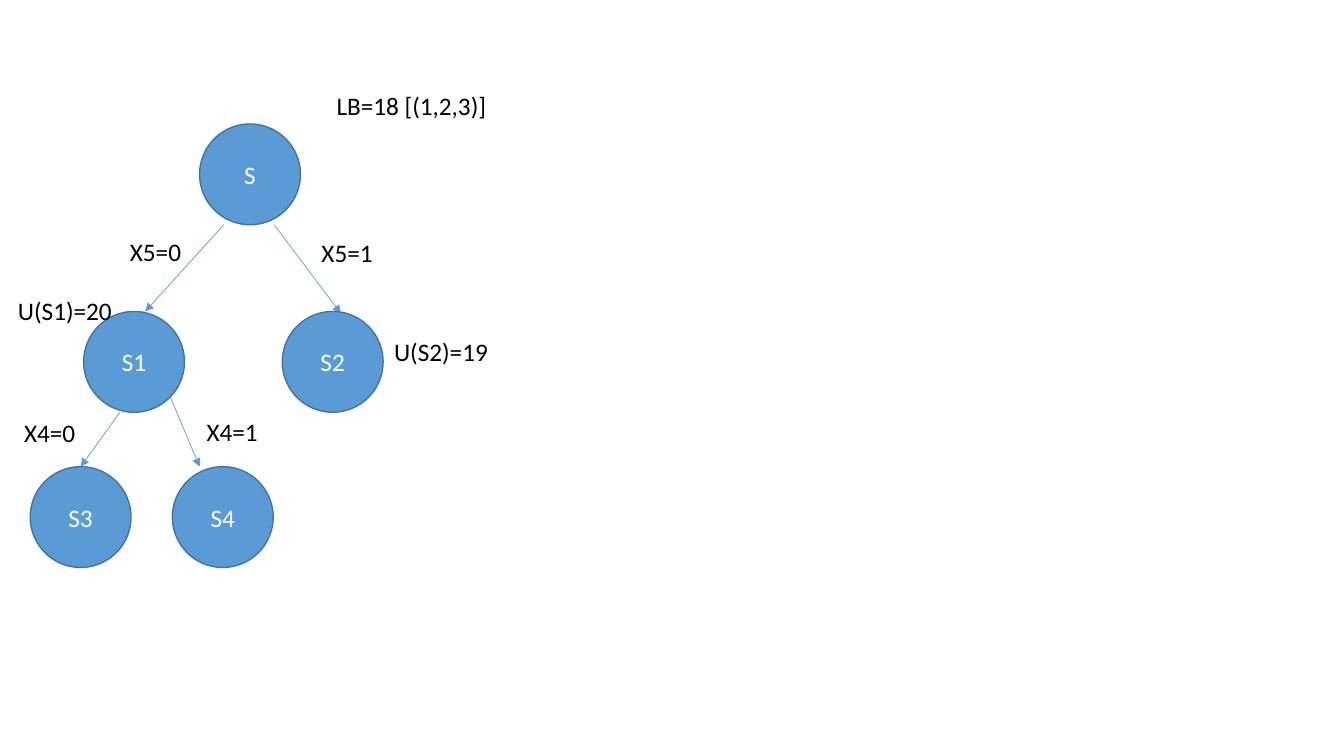
"""Build a slide with a branch-and-bound search tree."""
from dataclasses import dataclass

from lxml import etree
from pptx import Presentation
from pptx.dml.color import RGBColor
from pptx.enum.shapes import MSO_CONNECTOR, MSO_SHAPE
from pptx.enum.text import MSO_ANCHOR, MSO_AUTO_SIZE, PP_ALIGN
from pptx.oxml.ns import qn
from pptx.slide import Slide
from pptx.text.text import TextFrame
from pptx.util import Inches, Pt

OVAL = MSO_SHAPE.OVAL
STRAIGHT = MSO_CONNECTOR.STRAIGHT
MIDDLE = MSO_ANCHOR.MIDDLE
FIT_SHAPE = MSO_AUTO_SIZE.SHAPE_TO_FIT_TEXT
CENTER = PP_ALIGN.CENTER

COLORS = {"node": "5B9BD5", "outline": "43739E", "node_text": "FFFFFF", "label": "000000"}
FONT = "Calibri"
FONT_SIZE = 18
DIAMETER = 1
LABEL_HEIGHT = 0.4
BLANK_LAYOUT = 6


@dataclass
class Node:
    text: str
    left: float
    top: float


@dataclass
class Edge:
    x1: float
    y1: float
    x2: float
    y2: float


@dataclass
class Label:
    text: str
    left: float
    top: float
    width: float = 0.72


NODES = [
    Node("S", 1.98, 1.23),
    Node("S1", 0.83, 3.09),
    Node("S2", 2.8, 3.09),
    Node("S3", 0.3, 4.63),
    Node("S4", 1.71, 4.63),
]
EDGES = [
    Edge(2.22, 2.23, 1.44, 3.09),
    Edge(2.72, 2.23, 3.38, 3.11),
    Edge(1.19, 4.09, 0.8, 4.63),
    Edge(1.69, 3.94, 1.98, 4.63),
]
LABELS = [
    Label("LB=18 [(1,2,3)]", 3.24, 0.85, 1.7),
    Label("X5=0", 1.19, 2.3),
    Label("X5=1", 3.09, 2.31),
    Label("U(S1)=20", 0.08, 2.88, 1.14),
    Label("U(S2)=19", 3.81, 3.29, 1.14),
    Label("X4=0", 0.14, 4.09),
    Label("X4=1", 1.95, 4.08),
]


def rgb(name: str) -> RGBColor:
    """Return the named colour."""
    return RGBColor.from_string(COLORS[name])


def write(tf: TextFrame, text: str, color: str) -> None:
    """Put one formatted paragraph in a text frame."""
    p = tf.paragraphs[0]
    p.text = text
    p.font.name = FONT
    p.font.size = Pt(FONT_SIZE)
    p.font.color.rgb = rgb(color)


def draw_node(s: Slide, node: Node) -> None:
    """Draw a circle with its centred name."""
    sp = s.shapes.add_shape(
        OVAL, Inches(node.left), Inches(node.top), Inches(DIAMETER), Inches(DIAMETER)
    )
    sp.shadow.inherit = False
    sp.fill.solid()
    sp.fill.fore_color.rgb = rgb("node")
    sp.line.color.rgb = rgb("outline")
    sp.line.width = Pt(1)
    tf = sp.text_frame
    tf.vertical_anchor = MIDDLE
    write(tf, node.text, "node_text")
    tf.paragraphs[0].alignment = CENTER


def draw_edge(s: Slide, edge: Edge) -> None:
    """Draw an arrow from a parent to a child."""
    cxn = s.shapes.add_connector(
        STRAIGHT, Inches(edge.x1), Inches(edge.y1), Inches(edge.x2), Inches(edge.y2)
    )
    cxn.line.color.rgb = rgb("node")
    cxn.line.width = Pt(0.5)
    etree.SubElement(cxn.line._get_or_add_ln(), qn("a:tailEnd"), type="triangle")
    etree.SubElement(cxn._element.spPr, qn("a:effectLst"))


def draw_label(s: Slide, label: Label) -> None:
    """Draw an unwrapped text label."""
    tb = s.shapes.add_textbox(
        Inches(label.left), Inches(label.top), Inches(label.width), Inches(LABEL_HEIGHT)
    )
    tf = tb.text_frame
    tf.word_wrap = False
    tf.auto_size = FIT_SHAPE
    write(tf, label.text, "label")


def main() -> None:
    """Build and save the presentation."""
    prs = Presentation()
    prs.slide_width = Inches(13.33)
    prs.slide_height = Inches(7.5)
    s = prs.slides.add_slide(prs.slide_layouts[BLANK_LAYOUT])
    for edge in EDGES:
        draw_edge(s, edge)
    for node in NODES:
        draw_node(s, node)
    for label in LABELS:
        draw_label(s, label)
    prs.save("out.pptx")


if __name__ == "__main__":
    main()
